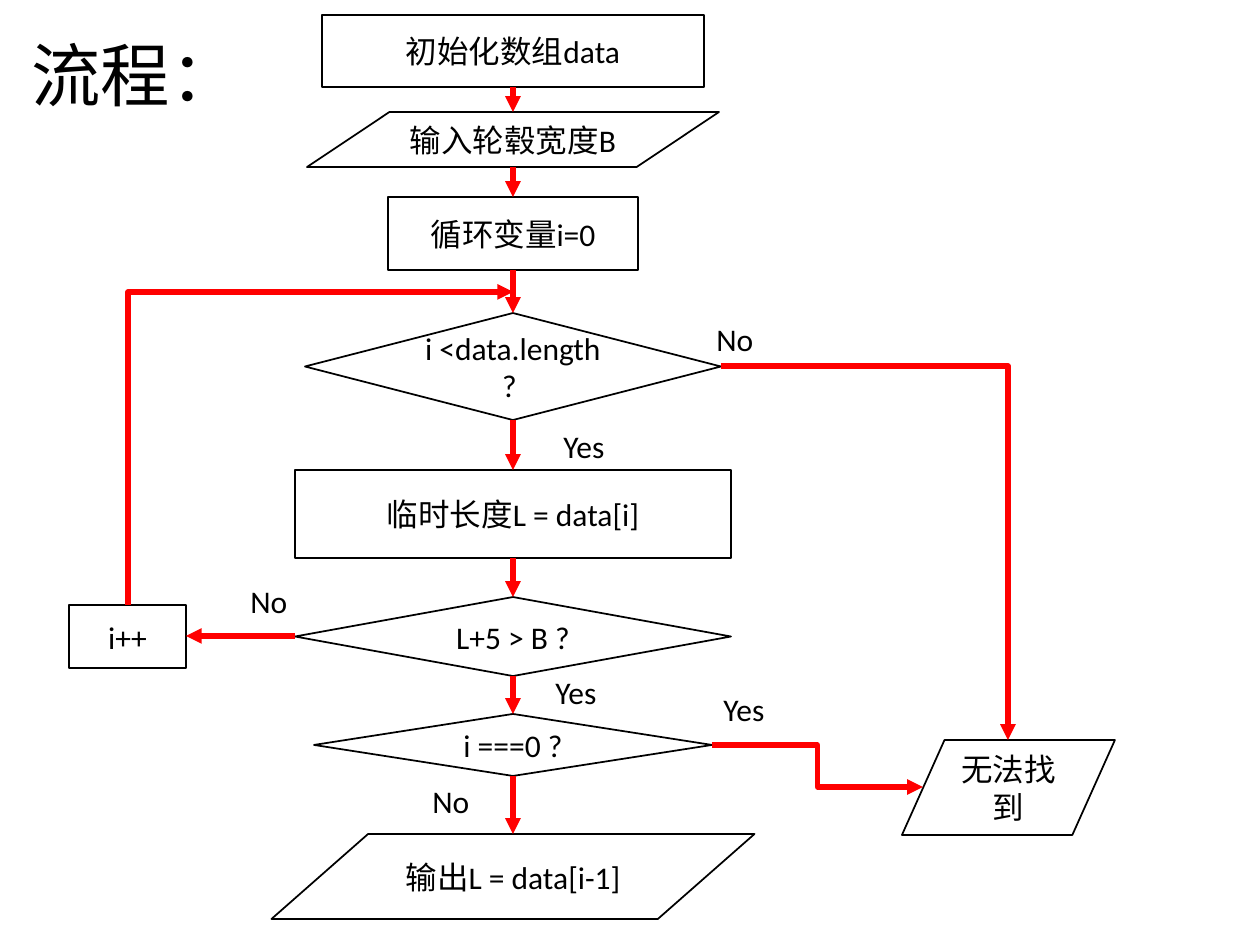
from itertools import pairwise

from lxml.etree import SubElement
from pptx import Presentation
from pptx.dml.color import RGBColor
from pptx.enum.shapes import MSO_CONNECTOR as LINK, MSO_SHAPE as SHAPE
from pptx.enum.text import MSO_ANCHOR as ANCHOR, PP_ALIGN as ALIGN
from pptx.oxml.ns import qn
from pptx.util import Pt

PX = 914400 / 126
COLORS = {"ink": "000000", "paper": "FFFFFF", "arrow": "FF0000"}
FONT = "Calibri"
SPINE_X = 513

PROCESS = SHAPE.FLOWCHART_PROCESS
DECISION = SHAPE.FLOWCHART_DECISION
DATA = SHAPE.FLOWCHART_DATA

# Main column from top to bottom: shape, text, top, width, height
SPINE = [
    (PROCESS, "初始化数组data", 15, 382, 72),
    (DATA, "输入轮毂宽度B", 112, 412, 55),
    (PROCESS, "循环变量i=0", 197, 250, 73),
    (DECISION, "i <data.length\n? ", 313, 416, 107),
    (PROCESS, "临时长度L = data[i]", 470, 436, 88),
    (DECISION, "L+5 > B ?", 597, 436, 79),
    (DECISION, "i ===0 ?", 714, 398, 62),
    (DATA, "输出L = data[i-1]", 834, 483, 85),
]

# Branch labels: text, left, top, width
LABELS = [
    ("No", 704, 314, 84),
    ("Yes", 551, 421, 121),
    ("Yes", 543, 667, 121),
    ("Yes", 711, 684, 121),
    ("No", 238, 576, 84),
    ("No", 420, 776, 84),
]


def px(*lengths):
    return [round(length * PX) for length in lengths]


def color(name):
    return RGBColor.from_string(COLORS[name])


def write(frame, text, size=18, align=ALIGN.LEFT):
    frame.word_wrap = True
    frame.text = text
    for paragraph in frame.paragraphs:
        paragraph.alignment = align
        paragraph.font.size = Pt(size)
        paragraph.font.name = FONT
        paragraph.font.color.rgb = color("ink")


def add_step(slide, kind, text, left, top, width, height):
    step = slide.shapes.add_shape(kind, *px(left, top, width, height))
    step.shadow.inherit = False
    step.fill.solid()
    step.fill.fore_color.rgb = color("paper")
    step.line.color.rgb = color("ink")
    step.line.width = Pt(1)
    step.text_frame.vertical_anchor = ANCHOR.MIDDLE
    write(step.text_frame, text, align=ALIGN.CENTER)


def add_label(slide, text, left, top, width, height=50):
    label = slide.shapes.add_textbox(*px(left, top, width, height))
    write(label.text_frame, text)
    return label.text_frame


def add_arrow(slide, start, end, kind=LINK.STRAIGHT, one_bend=False):
    arrow = slide.shapes.add_connector(kind, *px(*start, *end))
    arrow.line.color.rgb = color("arrow")
    arrow.line.width = Pt(3)
    properties = arrow._element.spPr
    SubElement(arrow.line._get_or_add_ln(), qn("a:tailEnd"), type="triangle")
    SubElement(properties, qn("a:effectLst"))
    if one_bend:
        properties.find(qn("a:prstGeom")).set("prst", "bentConnector2")
    return arrow


def add_up_and_right_arrow(slide, start, end):
    # A quarter turn of a doubly flipped elbow leaves upwards first
    (x1, y1), (x2, y2) = start, end
    middle_x, middle_y = (x1 + x2) / 2, (y1 + y2) / 2
    half_w, half_h = (y1 - y2) / 2, (x2 - x1) / 2
    arrow = add_arrow(
        slide,
        (middle_x + half_w, middle_y + half_h),
        (middle_x - half_w, middle_y - half_h),
        LINK.ELBOW,
        one_bend=True,
    )
    arrow._element.spPr.find(qn("a:xfrm")).set("rot", str(90 * 60000))


def main():
    deck = Presentation()
    deck.slide_width, deck.slide_height = px(1260, 945)
    slide = deck.slides.add_slide(deck.slide_layouts[6])

    # Title
    title = add_label(slide, "", 19, 50, 181, 59)
    title.vertical_anchor = ANCHOR.MIDDLE
    write(title, "流程：", size=39.6)
    title.paragraphs[0].line_spacing = 0.9

    # Steps
    for kind, text, top, width, height in SPINE:
        add_step(slide, kind, text, SPINE_X - width / 2, top, width, height)
    add_step(slide, DATA, "无法找到", 902, 740, 213, 95)
    add_step(slide, PROCESS, "i++", 69, 605, 117, 63)

    # Arrows down the main column
    for (_, _, top, _, height), (_, _, next_top, _, _) in pairwise(SPINE):
        add_arrow(slide, (SPINE_X, top + height), (SPINE_X, next_top))

    # Branches to "not found", then the loop back
    add_arrow(slide, (721, 366), (1008, 740), LINK.ELBOW, one_bend=True)
    add_arrow(slide, (712, 745), (923, 787), LINK.ELBOW)
    add_arrow(slide, (295, 636), (186, 636))
    add_up_and_right_arrow(slide, (128, 605), (SPINE_X, 292))

    # Branch labels
    for label in LABELS:
        add_label(slide, *label)

    deck.save("out.pptx")


if __name__ == "__main__":
    main()
